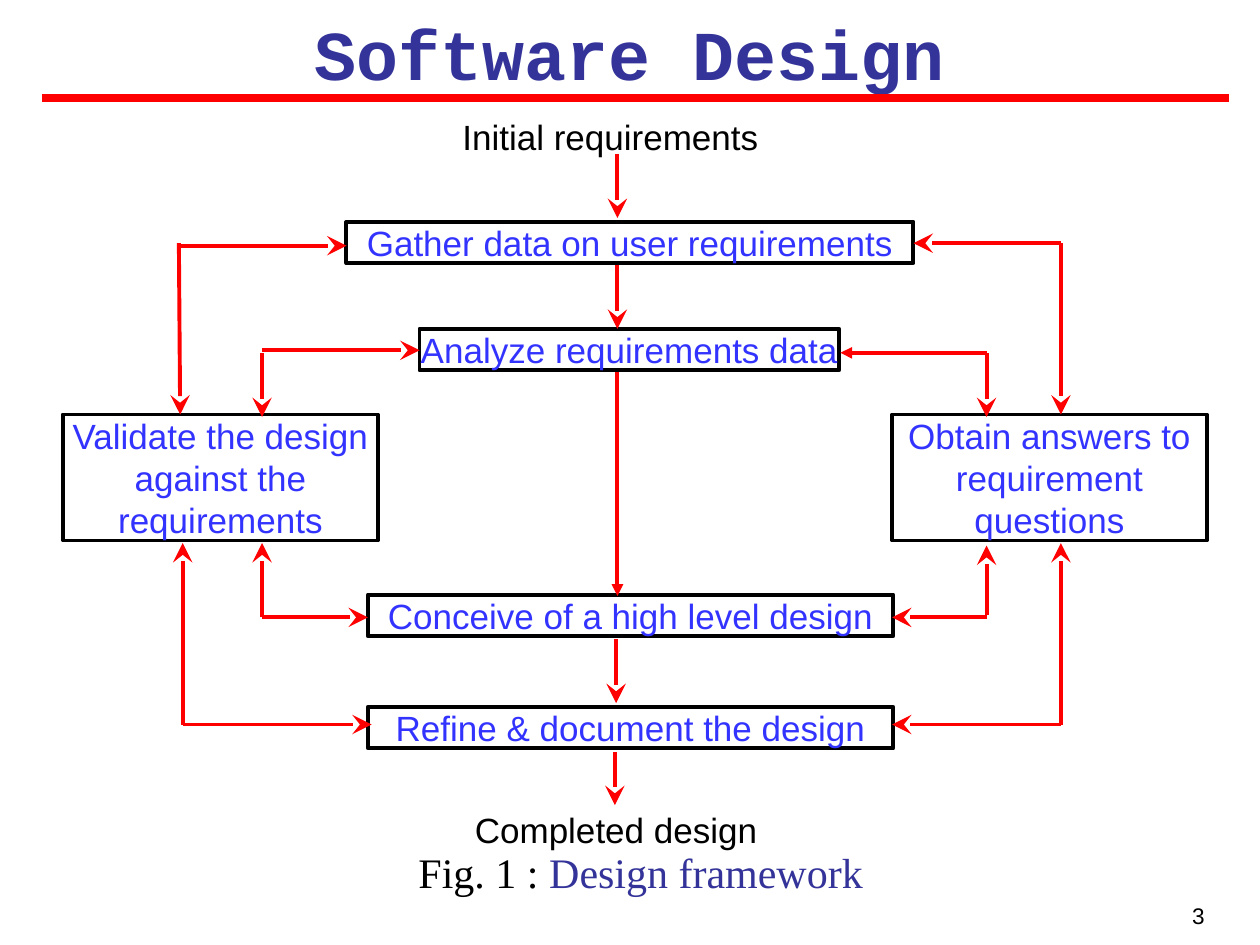
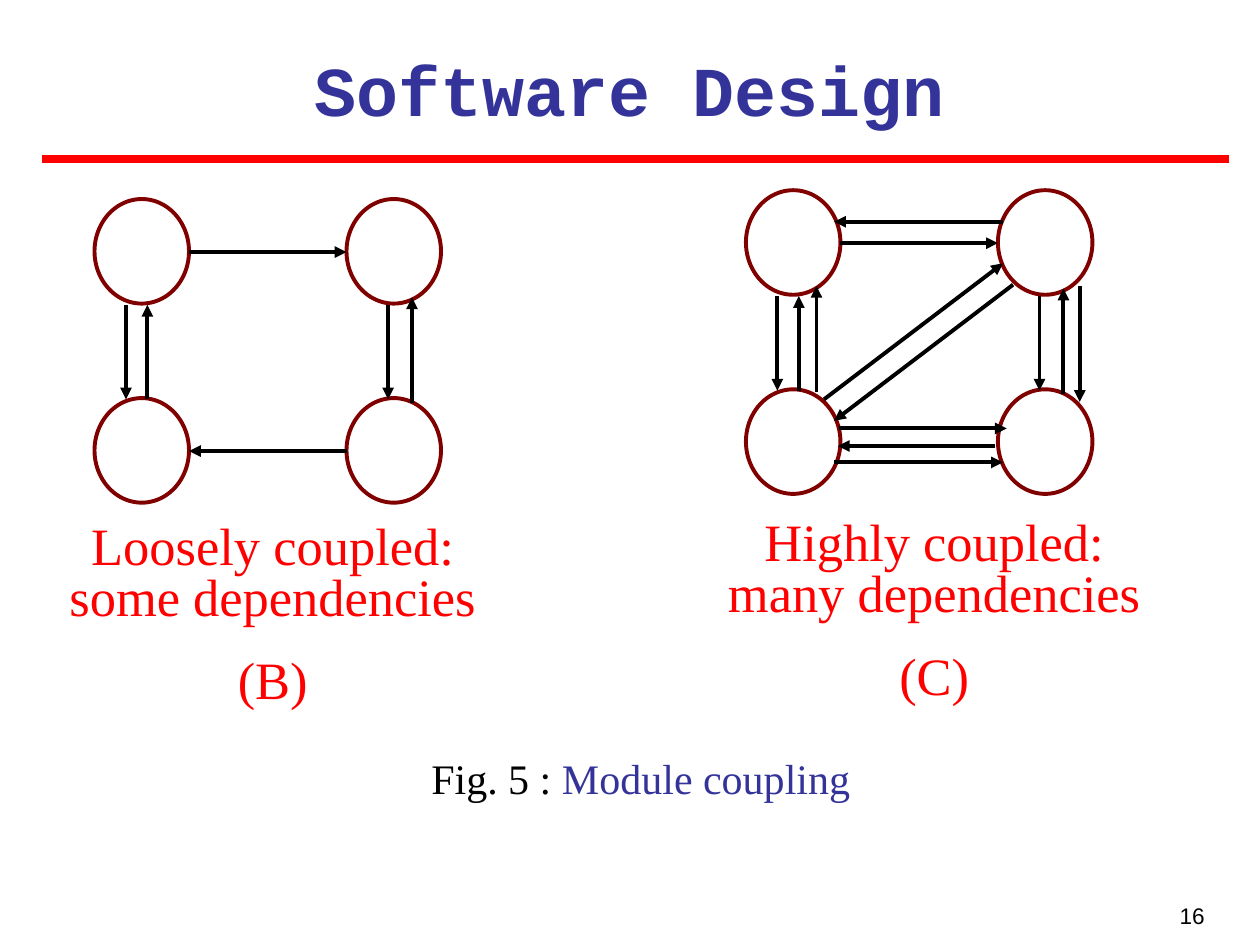
from lxml import etree
from pptx import Presentation
from pptx.dml.color import RGBColor
from pptx.enum import shapes, text
from pptx.oxml import ns
from pptx.util import Inches, Pt

NAVY = RGBColor(0x33, 0x33, 0x99)
BLUE = RGBColor(0x33, 0x33, 0xFF)
RED = RGBColor(0xFF, 0x00, 0x00)
MAROON = RGBColor(0x80, 0x00, 0x00)
BLACK = RGBColor(0x00, 0x00, 0x00)
SANS, SERIF, MONO = "Arial", "Times New Roman", "Courier New"
MID, RIGHT = text.PP_ALIGN.CENTER, text.PP_ALIGN.RIGHT


def write(box, paras, font, size, align=MID, pad=(0, 0), bold=False):
    """Fill a shape with paragraphs, each a list of (words, colour) runs."""
    frame = box.text_frame
    frame.word_wrap = True
    frame.auto_size = text.MSO_AUTO_SIZE.NONE
    frame.vertical_anchor = text.MSO_ANCHOR.TOP
    frame.margin_left = frame.margin_right = Inches(pad[0])
    frame.margin_top = frame.margin_bottom = Inches(pad[1])
    for i, runs in enumerate(paras):
        para = frame.add_paragraph() if i else frame.paragraphs[0]
        para.alignment = align
        for words, tint in runs:
            run = para.add_run()
            run.text = words
            run.font.name, run.font.size = font, Pt(size)
            run.font.bold, run.font.color.rgb = bold, tint
    return frame


def link(slide, ends, tint, width=2.25, tip=None):
    """Draw a straight line, with an arrowhead at its end if a tip is named."""
    line = slide.shapes.add_connector(
        shapes.MSO_CONNECTOR.STRAIGHT, *[Inches(v) for v in ends])
    line.line.color.rgb = tint
    line.line.width = Pt(width)
    if tip:
        size = "lg" if tip == "stealth" else "med"
        etree.SubElement(line.line._get_or_add_ln(), ns.qn("a:tailEnd"),
                         type=tip, w=size, len=size)
    etree.SubElement(line._element.spPr, ns.qn("a:effectLst"))


deck = Presentation()
deck.slide_width, deck.slide_height = Inches(10), Inches(7.5)

# Title, rule, page number and caption of both slides
pages = []
for num, top, rule, low, fig, name in [
    ("3", 0.03, 0.78, 6.67, "Fig. 1 : ", "Design framework"),
    ("16", 0.32, 1.26, 5.92, "Fig. 5 : ", "Module coupling"),
]:
    slide = deck.slides.add_slide(deck.slide_layouts[5])
    pages.append(slide)
    title = slide.shapes.title
    title.left, title.top = Inches(0.33), Inches(top)
    title.width, title.height = Inches(9.33), Inches(0.77)
    write(title, [[("Software Design", NAVY)]], MONO, 40,
          pad=(0.1, 0.05), bold=True)
    link(slide, (0.33, rule, 9.75, rule), RED, 4.5)
    foot = slide.shapes.add_textbox(
        Inches(7.33), Inches(7.11), Inches(2.33), Inches(0.33))
    write(foot, [[(num, BLACK)]], SANS, 12.9, RIGHT, (0.1, 0.05))
    label = slide.shapes.add_textbox(
        Inches(0.5), Inches(low), Inches(9.17), Inches(0.5))
    write(label, [[(fig, BLACK), (name, NAVY)]], SERIF, 24, pad=(0.1, 0.05))

flow, pairs = pages

# Design framework: steps, start and end, arrows
for words, left, top, width, height in [
    ("Gather data on user requirements", 2.75, 1.76, 4.5, 0.33),
    ("Analyze requirements data", 3.33, 2.61, 3.33, 0.33),
    ("Conceive of a high level design", 2.92, 4.72, 4.17, 0.33),
    ("Refine & document the design", 2.92, 5.61, 4.17, 0.33),
    ("Obtain answers to requirement questions", 7.08, 3.29, 2.5, 1),
    ("Validate the design against the requirements", 0.5, 3.29, 2.5, 1),
]:
    step = flow.shapes.add_shape(
        shapes.MSO_SHAPE.RECTANGLE, Inches(left), Inches(top),
        Inches(width), Inches(height))
    step.shadow.inherit = False
    step.fill.background()
    step.line.color.rgb, step.line.width = BLACK, Pt(2.25)
    write(step, [[(words, BLUE)]], SANS, 20)

for words, left, top, align in [
    ("Initial requirements", 3.67, 0.92, text.PP_ALIGN.LEFT),
    ("Completed design", 3.64, 6.42, MID),
]:
    note = flow.shapes.add_textbox(
        Inches(left), Inches(top), Inches(2.5), Inches(0.33))
    write(note, [[(words, BLACK)]], SANS, 20, align)

for ends in [
    (4.9, 1.22, 4.9, 1.73), (4.9, 2.1, 4.9, 2.61),
    (4.89, 5.07, 4.89, 5.58), (4.88, 5.97, 4.88, 6.39),
    (8.42, 5.75, 7.08, 5.75), (8.42, 5.75, 8.42, 4.31),
    (7.83, 4.9, 7.08, 4.9), (7.83, 4.88, 7.83, 4.33),
    (8.42, 1.93, 7.25, 1.93), (8.42, 1.93, 8.42, 3.29),
    (7.83, 2.8, 7.83, 3.31),
    (1.45, 5.75, 1.45, 4.31), (1.45, 5.75, 2.95, 5.75),
    (2.08, 4.9, 2.92, 4.9), (2.08, 4.9, 2.08, 4.31),
    (2.08, 2.78, 3.33, 2.78), (2.08, 2.8, 2.08, 3.31),
    (1.42, 1.93, 1.43, 3.29), (1.42, 1.95, 2.75, 1.95),
]:
    link(flow, ends, RED, tip="stealth")
for ends in [(4.9, 2.95, 4.9, 4.73), (7.83, 2.8, 6.67, 2.8)]:
    link(flow, ends, RED, tip="triangle")

# Module coupling: arrow ends are measured from each group's corner
both = [
    (0.75, 0.42, 2, 0.42), (0.42, 1.59, 0.42, 0.84), (0.25, 0.84, 0.25, 1.59),
    (2.33, 0.84, 2.33, 1.59), (2.52, 1.62, 2.52, 0.78),
]
loose = [(2, 2, 0.75, 2)]
tight = [
    (1.98, 2.03, 0.73, 2.03), (0.62, 1.66, 2.04, 0.58),
    (2.12, 0.75, 0.7, 1.83), (2.04, 0.25, 0.7, 0.25),
    (0.56, 1.6, 0.56, 0.76), (0.74, 1.89, 2.07, 1.89),
    (0.7, 2.16, 2.04, 2.16), (2.65, 0.76, 2.65, 1.68),
]
for x, y, extra, left, top, words, mark in [
    (0.75, 1.58, loose, 0.5, 4.17,
     "Loosely coupled: some dependencies", "(B)"),
    (5.92, 1.51, tight, 5.75, 4.14,
     "Highly coupled: many dependencies", "(C)"),
]:
    for down in (0, 1.58):
        for over in (0, 2):
            node = pairs.shapes.add_shape(
                shapes.MSO_SHAPE.OVAL, Inches(x + over), Inches(y + down),
                Inches(0.75), Inches(0.83))
            node.shadow.inherit = False
            node.fill.background()
            node.line.color.rgb, node.line.width = MAROON, Pt(2.25)
    for x1, y1, x2, y2 in both + extra:
        link(pairs, (x + x1, y + y1, x + x2, y + y2), BLACK, tip="triangle")
    note = pairs.shapes.add_textbox(
        Inches(left), Inches(top), Inches(3.33), Inches(1.46))
    frame = write(note, [[(words, RED)], [(mark, RED)]], SERIF, 30)
    for para in frame.paragraphs:
        para.line_spacing = 0.8
    frame.paragraphs[1].space_before = Pt(18.7)

deck.save("out.pptx")
